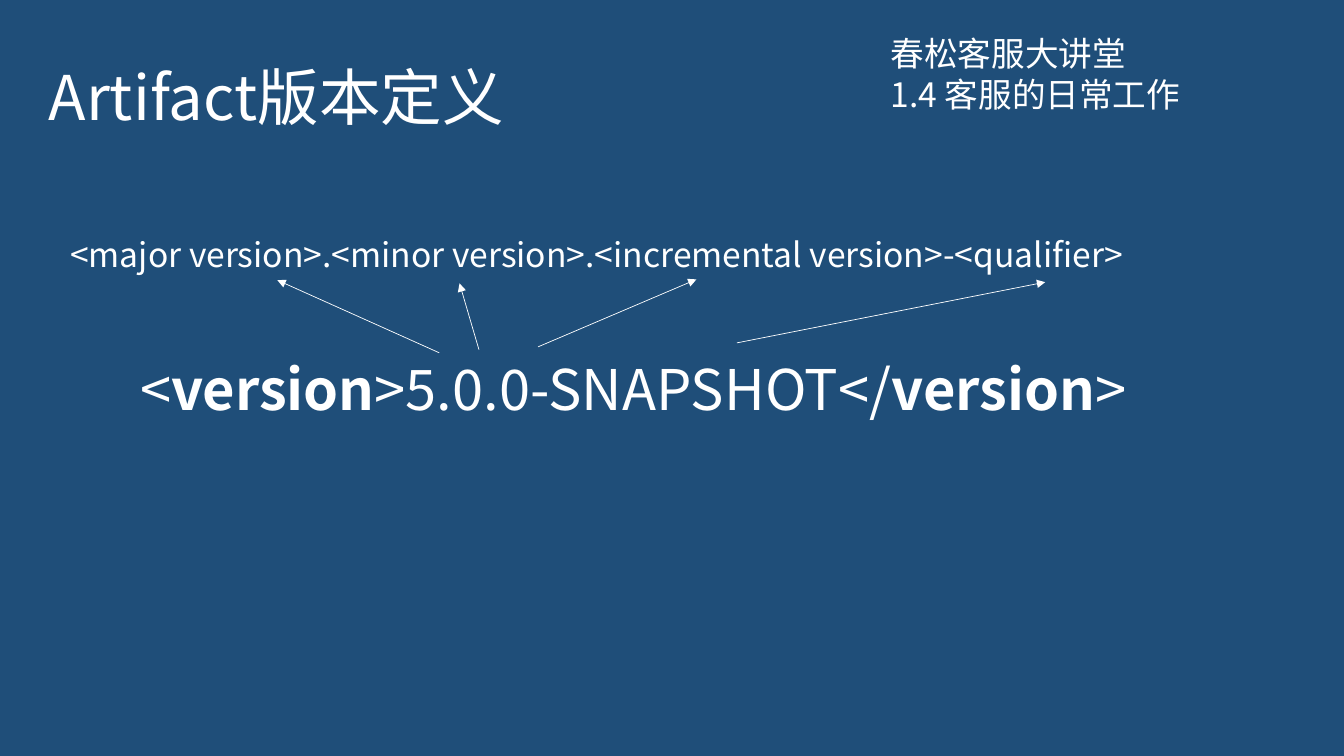
from pptx import Presentation
from pptx import util as u
from pptx.dml import color as col
from pptx.enum import shapes, text
from pptx.oxml import ns, xmlchemy as xc

FACE = "Noto Sans CJK SC"
HUES = {"back": "1F4E79", "ink": "FFFFFF"}


def hue(name):
    return col.RGBColor.from_string(HUES[name])


def write(para, words, size, bold=None):
    run = para.add_run()
    run.text = words
    font = run.font
    font.size = u.Pt(size)
    font.bold = bold
    font.name = FACE
    font.color.rgb = hue("ink")
    east = xc.OxmlElement("a:ea")
    east.set("typeface", FACE)
    run._r.get_or_add_rPr().append(east)


def label(slide, left, top, wide, high, size, parts):
    box = slide.shapes.add_textbox(u.Cm(left), u.Cm(top), u.Cm(wide), u.Cm(high))
    frame = box.text_frame
    frame.word_wrap = True
    frame.auto_size = text.MSO_AUTO_SIZE.SHAPE_TO_FIT_TEXT
    for words, bold in parts:
        write(frame.paragraphs[0], words, size, bold)


def title(slide, words):
    head = slide.shapes.title
    head.left, head.top = u.Cm(0.97), u.Cm(0.69)
    head.width, head.height = u.Cm(18.29), u.Cm(3.68)
    frame = head.text_frame
    frame.word_wrap = True
    frame.auto_size = text.MSO_AUTO_SIZE.NONE
    frame.vertical_anchor = text.MSO_ANCHOR.MIDDLE
    para = frame.paragraphs[0]
    para.alignment = text.PP_ALIGN.LEFT
    para.line_spacing = 0.9
    write(para, words, 44)


def arrow(slide, *ends):
    line = slide.shapes.add_connector(
        shapes.MSO_CONNECTOR.STRAIGHT, *[u.Cm(end) for end in ends])
    line.line.color.rgb = hue("ink")
    line.line.width = u.Pt(0.5)
    tip = xc.OxmlElement("a:tailEnd")
    tip.set("type", "triangle")
    props = line._element.spPr
    props.find(ns.qn("a:ln")).append(tip)
    props.append(xc.OxmlElement("a:effectLst"))


def main():
    deck = Presentation()
    deck.slide_width, deck.slide_height = u.Cm(33.87), u.Cm(19.05)
    slide = deck.slides.add_slide(deck.slide_layouts[5])
    fill = slide.background.fill
    fill.solid()
    fill.fore_color.rgb = hue("back")

    label(slide, 22.2, 1.73, 7.95, 1.27, 24, [("1.4 客服的日常工作", None)])
    label(slide, 22.2, 0.71, 6.5, 1.27, 24, [("春松客服大讲堂", None)])
    title(slide, "Artifact版本定义")
    label(slide, 3.28, 8.81, 28.55, 1.96, 40, [
        ("<", False), ("version", True), (">5.0.0-SNAPSHOT</", False),
        ("version", True), (">", False)])
    label(slide, 1.52, 5.77, 31, 1.27, 24, [
        ("<major version>.<minor version>.<incremental version>-<qualifier>", None)])

    for ends in [
        (11.07, 8.89, 6.99, 7.06),
        (12.07, 8.81, 11.58, 7.14),
        (13.56, 8.74, 17.55, 7.04),
        (18.57, 8.64, 26.34, 7.11),
    ]:
        arrow(slide, *ends)
    deck.save("out.pptx")


if __name__ == "__main__":
    main()
